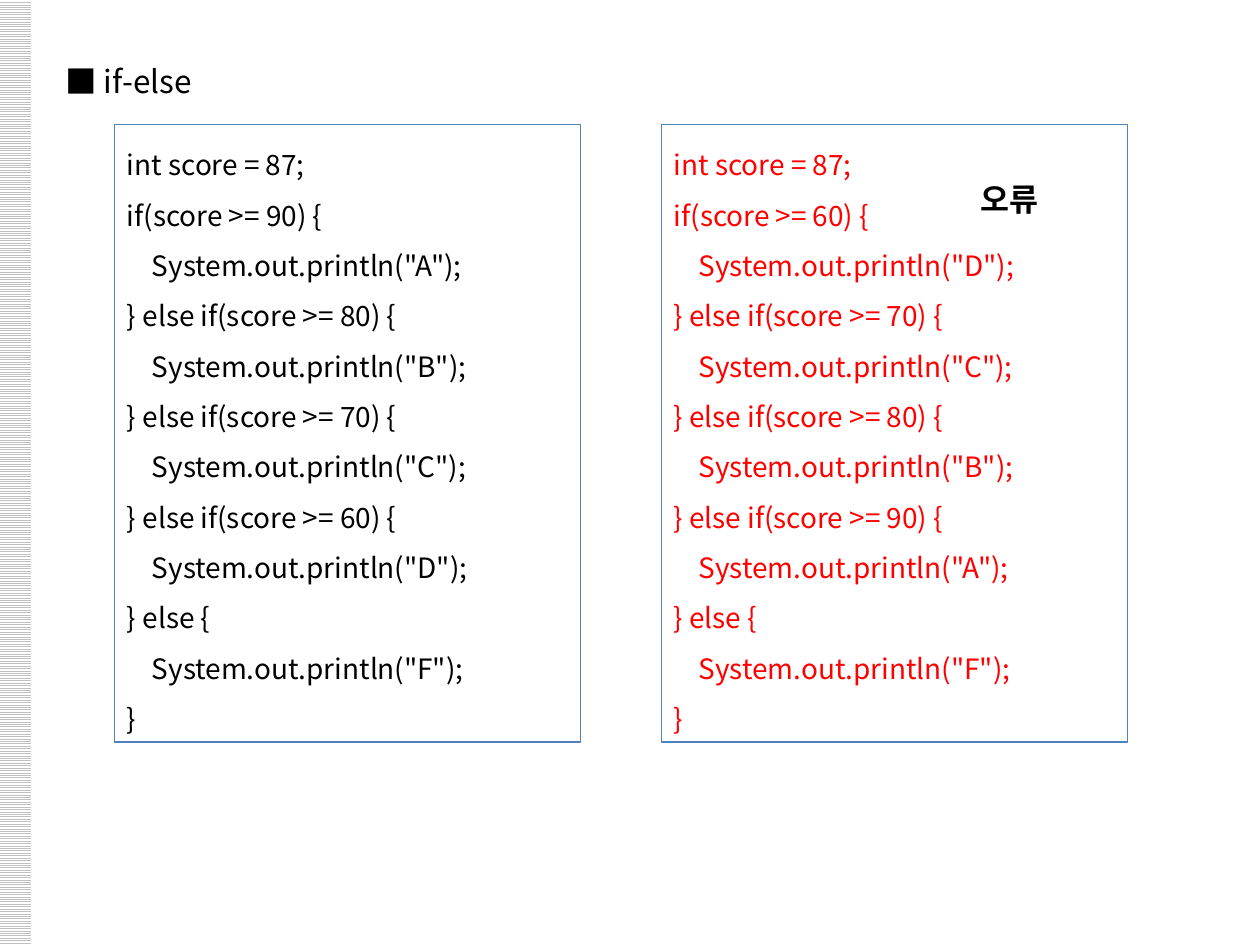
from dataclasses import dataclass

from lxml import etree
from pptx import Presentation
from pptx.dml.color import RGBColor
from pptx.enum.dml import MSO_PATTERN
from pptx.enum.shapes import MSO_SHAPE
from pptx.enum.text import MSO_ANCHOR, MSO_AUTO_SIZE, PP_ALIGN
from pptx.oxml.ns import qn
from pptx.util import Inches, Pt

RECT = MSO_SHAPE.RECTANGLE
STRIPES = MSO_PATTERN.LIGHT_HORIZONTAL
GROW = MSO_AUTO_SIZE.SHAPE_TO_FIT_TEXT
TOP = MSO_ANCHOR.TOP
LEFT = PP_ALIGN.LEFT


@dataclass(frozen=True)
class Theme:
    face: str = "Noto Sans CJK KR"
    head: Pt = Pt(18)
    code: Pt = Pt(16)
    ink: RGBColor = RGBColor(0, 0, 0)
    wrong: RGBColor = RGBColor(255, 0, 0)
    frame: RGBColor = RGBColor(0x4F, 0x81, 0xBD)
    stripe: RGBColor = RGBColor(0xC0, 0xC0, 0xC0)
    paper: RGBColor = RGBColor(255, 255, 255)


THEME = Theme()


def grade_code(steps):
    """Return the if-else chain for (limit, grade) steps, tested in order."""
    lines = ["int score = 87;"]
    start = ""
    for limit, grade in steps:
        lines += [f"{start}if(score >= {limit}) {{",
                  f'    System.out.println("{grade}");']
        start = "} else "
    return lines + ["} else {", '    System.out.println("F");', "}"]


def write(frame, lines, size, color, bold=False, hang=0):
    frame.auto_size = GROW
    frame.vertical_anchor = TOP
    for i, line in enumerate(lines):
        para = frame.paragraphs[0] if i == 0 else frame.add_paragraph()
        para.text = line
        para.alignment = LEFT
        para.line_spacing = 1.5
        props = para._p.get_or_add_pPr()
        if hang:
            props.set("marL", str(Inches(hang)))
            props.set("indent", str(-Inches(hang)))
        font = para.font
        font.size = size
        font.bold = bold
        font.color.rgb = color
        font.name = THEME.face
        # Hangul takes its face from the East Asian font
        east = etree.SubElement(props.find(qn("a:defRPr")), qn("a:ea"))
        east.set("typeface", THEME.face)


def add_band(slide):
    band = slide.shapes.add_shape(
        RECT, Inches(-0.01), 0, Inches(0.26), Inches(7.5))
    band.shadow.inherit = False
    band.line.fill.background()
    band.fill.patterned()
    band.fill.pattern = STRIPES
    band.fill.fore_color.rgb = THEME.stripe
    band.fill.back_color.rgb = THEME.paper


def add_label(slide, text, left, top, width, height, bold=False):
    box = slide.shapes.add_textbox(
        Inches(left), Inches(top), Inches(width), Inches(height))
    box.text_frame.word_wrap = False
    write(box.text_frame, [text], THEME.head, THEME.ink, bold)


def add_code(slide, left, steps, color):
    box = slide.shapes.add_shape(
        RECT, Inches(left), Inches(0.99), Inches(3.7), Inches(4.9))
    box.shadow.inherit = False
    box.fill.background()
    box.line.color.rgb = THEME.frame
    box.line.width = Pt(0.75)
    box.text_frame.word_wrap = True
    write(box.text_frame, grade_code(steps), THEME.code, color, hang=0.38)


def main():
    deck = Presentation()
    deck.slide_width, deck.slide_height = Inches(10), Inches(7.5)
    slide = deck.slides.add_slide(deck.slide_layouts[6])
    steps = [(90, "A"), (80, "B"), (70, "C"), (60, "D")]

    add_band(slide)
    add_label(slide, "■ if-else", 0.42, 0.29, 1.31, 0.56)
    add_code(slide, 0.91, steps, THEME.ink)
    add_code(slide, 5.25, steps[::-1], THEME.wrong)
    add_label(slide, "오류", 7.68, 1.23, 0.71, 0.5, bold=True)
    deck.save("out.pptx")


if __name__ == "__main__":
    main()
